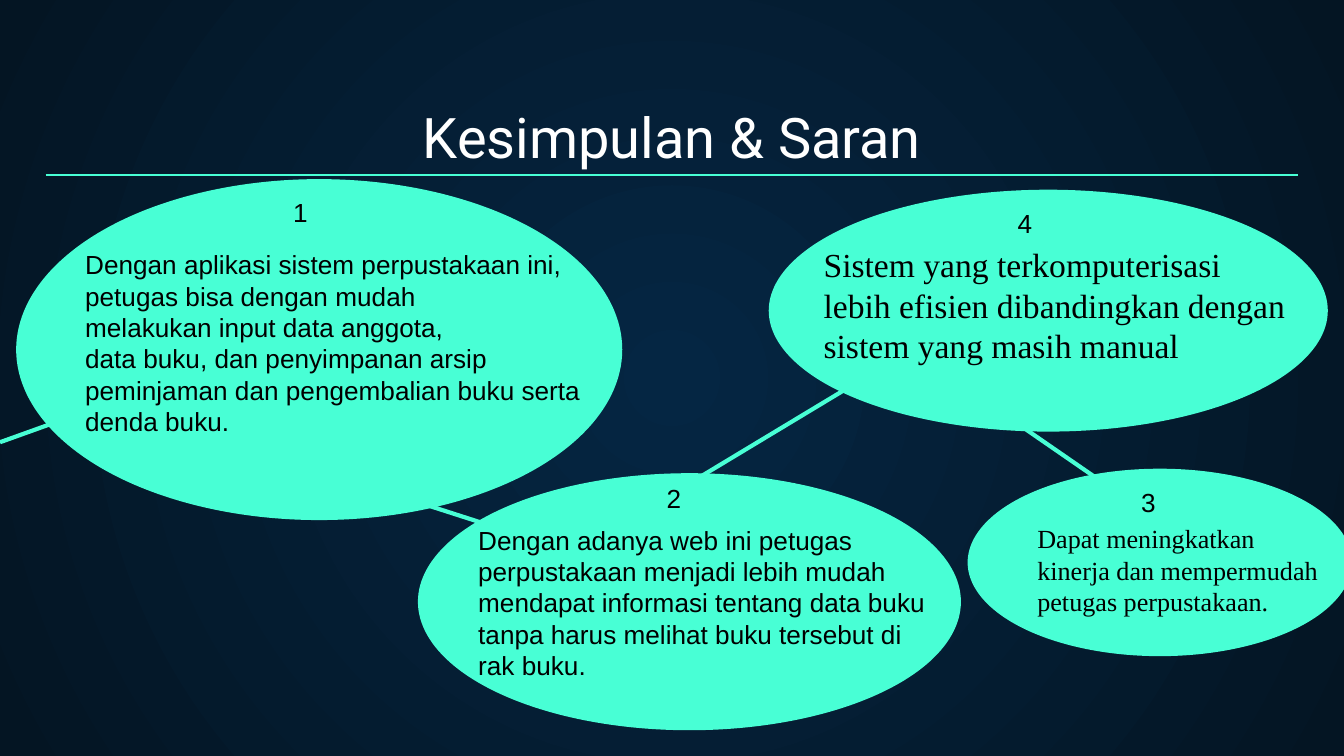
from dataclasses import dataclass

from lxml.etree import SubElement
from pptx import Presentation
from pptx.dml.color import RGBColor
from pptx.enum.shapes import MSO_CONNECTOR, MSO_SHAPE
from pptx.enum.text import MSO_ANCHOR, PP_ALIGN
from pptx.oxml.ns import qn
from pptx.util import Inches, Pt


@dataclass(frozen=True)
class Theme:
    glow: str = "052643"
    night: str = "041523"
    mint: str = "48FFD5"
    white: str = "FFFFFF"
    black: str = "000000"
    title_font: str = "Roboto"
    sans: str = "Arial"
    serif: str = "Times New Roman"
    title_size: int = 30
    large: int = 18
    body: int = 14
    link_width: float = 2.25
    rule_width: float = 0.75


THEME = Theme()
SLIDE_WIDTH = Inches(10)
SLIDE_HEIGHT = SLIDE_WIDTH * 9 // 16

# All places are percentages of the slide: left, top, width, height.
TITLE = "Kesimpulan & Saran"
TITLE_AREA = (3.4, 12.5, 93.2, 11.8)
RULE = (3.4, 23.15, 96.6, 23.15)
LINKS = [
    (25.6, 63.3, 43.1, 73.3),
    (51.9, 63.3, 71.5, 42.3),
    (14.1, 49.5, 0, 58.5),
    (90.1, 73.7, 71.2, 50.5),
]
NUMBER_SIZE = (3.1, 6)
POINTS = [
    dict(number="1", bubble=(1.2, 23.7, 45.1, 45.1), number_at=(20.8, 25.1),
         area=(5.35, 32, 43.2, 31.1), font=THEME.sans, size=THEME.body,
         lines=["Dengan aplikasi sistem perpustakaan ini, petugas bisa dengan mudah",
                "melakukan input data anggota,",
                "data buku, dan penyimpanan arsip",
                "peminjaman dan pengembalian buku serta denda buku."]),
    dict(number="2", bubble=(31.1, 62.6, 40.4, 34), number_at=(48.6, 62.95),
         area=(34.6, 68.45, 36.6, 26.8), font=THEME.sans, size=THEME.body,
         lines=["Dengan adanya web ini petugas",
                "perpustakaan menjadi lebih mudah",
                "mendapat informasi tentang data buku",
                "tanpa harus melihat buku tersebut di rak buku."]),
    dict(number="4", bubble=(57.2, 25.1, 41.6, 32), number_at=(74.7, 26.6),
         area=(60.3, 31.45, 37.4, 22.2), font=THEME.serif, size=THEME.large,
         lines=["Sistem yang terkomputerisasi",
                "lebih efisien dibandingkan dengan",
                "sistem yang masih manual"]),
    dict(number="3", bubble=(72, 62, 28.6, 24.8), number_at=(83.9, 63.5),
         area=(76.2, 68.25, 27.7, 18.5), font=THEME.serif, size=THEME.body,
         lines=["Dapat meningkatkan",
                "kinerja dan mempermudah",
                "petugas perpustakaan."]),
]


def place(percentages):
    """Turn alternating x and y percentages into slide lengths."""
    return [round(share / 100 * (SLIDE_HEIGHT if i % 2 else SLIDE_WIDTH))
            for i, share in enumerate(percentages)]


def paint_background(slide):
    fill = slide.background.fill
    fill.gradient()
    for stop, color in zip(fill.gradient_stops, (THEME.glow, THEME.night)):
        stop.color.rgb = RGBColor.from_string(color)
    gradient = slide.element.find(".//" + qn("a:gradFill"))
    gradient.remove(gradient.find(qn("a:lin")))
    circle = SubElement(gradient, qn("a:path"), path="circle")
    SubElement(circle, qn("a:fillToRect"), l="50000", t="50000", r="50000", b="50000")


def add_line(slide, ends, width):
    line = slide.shapes.add_connector(MSO_CONNECTOR.STRAIGHT, *place(ends))
    line.line.color.rgb = RGBColor.from_string(THEME.mint)
    line.line.width = Pt(width)
    SubElement(line.element.spPr, qn("a:effectLst"))


def add_bubble(slide, area):
    bubble = slide.shapes.add_shape(MSO_SHAPE.OVAL, *place(area))
    bubble.shadow.inherit = False
    bubble.fill.solid()
    bubble.fill.fore_color.rgb = RGBColor.from_string(THEME.mint)
    bubble.line.fill.background()


def add_text(slide, lines, area, *, font=THEME.sans, size=THEME.body, color=THEME.black,
             align=PP_ALIGN.LEFT, anchor=MSO_ANCHOR.TOP, side=0.1, edge=0.05):
    frame = slide.shapes.add_textbox(*place(area)).text_frame
    frame.word_wrap = True
    frame.vertical_anchor = anchor
    frame.margin_left = frame.margin_right = Inches(side)
    frame.margin_top = frame.margin_bottom = Inches(edge)
    frame.text = "\n".join(lines)
    for paragraph in frame.paragraphs:
        paragraph.alignment = align
        paragraph.font.name = font
        paragraph.font.size = Pt(size)
        paragraph.font.color.rgb = RGBColor.from_string(color)


def main():
    deck = Presentation()
    deck.slide_width, deck.slide_height = SLIDE_WIDTH, SLIDE_HEIGHT
    slide = deck.slides.add_slide(deck.slide_layouts[6])
    paint_background(slide)
    add_text(slide, [TITLE], TITLE_AREA, font=THEME.title_font, size=THEME.title_size,
             color=THEME.white, align=PP_ALIGN.CENTER, anchor=MSO_ANCHOR.BOTTOM, edge=0.1)
    for point in POINTS:
        add_bubble(slide, point["bubble"])
    for link in LINKS:
        add_line(slide, link, THEME.link_width)
    add_line(slide, RULE, THEME.rule_width)
    for point in POINTS:
        add_text(slide, point["lines"], point["area"], font=point["font"],
                 size=point["size"])
        add_text(slide, [point["number"]], point["number_at"] + NUMBER_SIZE,
                 align=PP_ALIGN.CENTER, side=0)
    deck.save("out.pptx")


if __name__ == "__main__":
    main()
